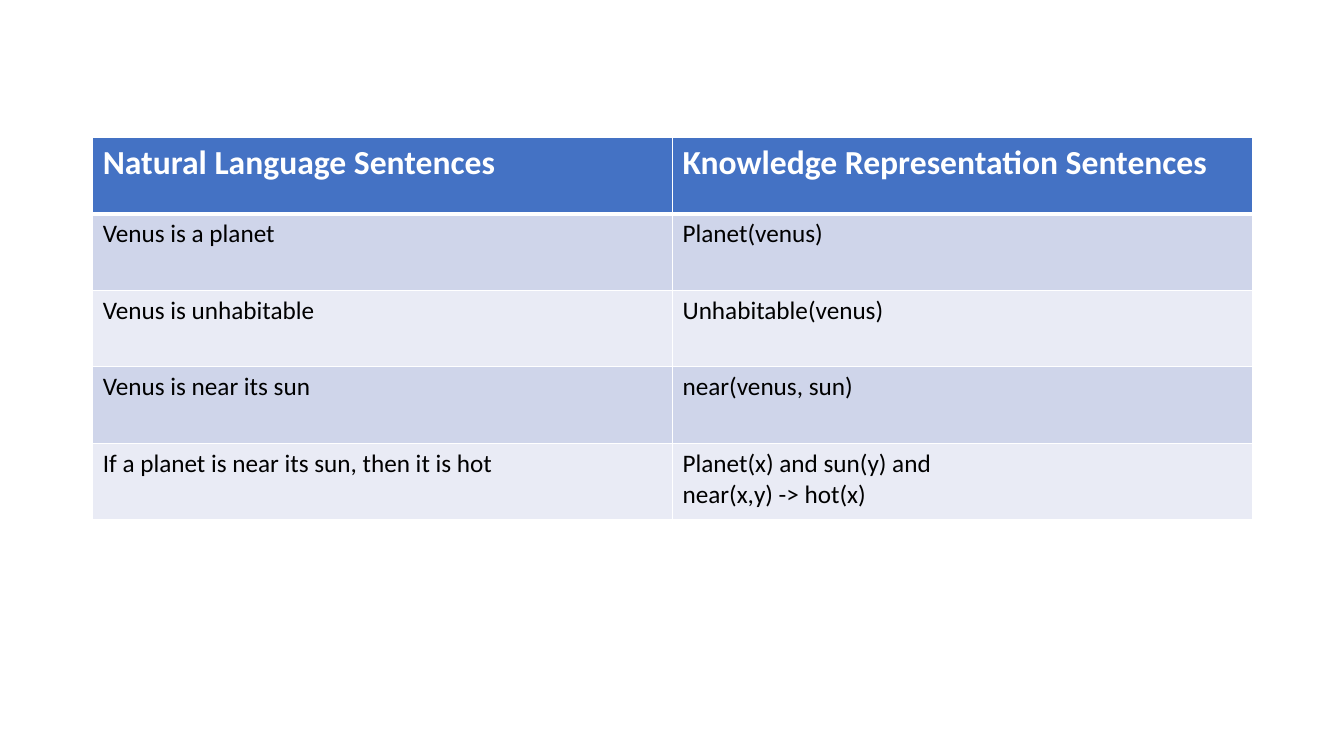
from lxml import etree
from pptx import Presentation
from pptx.dml.color import RGBColor
from pptx.oxml import ns
from pptx.util import Inches, Pt

ROWS = [
    ("Natural Language Sentences", "Knowledge Representation Sentences"),
    ("Venus is a planet", "Planet(venus)"),
    ("Venus is unhabitable", "Unhabitable(venus)"),
    ("Venus is near its sun", "near(venus, sun)"),
    ("If a planet is near its sun, then it is hot",
     "Planet(x) and sun(y) and\nnear(x,y) -> hot(x)"),
]
COLORS = {"header": "4472C4", "odd": "CFD5EA", "even": "E9EBF5",
          "rule": "FFFFFF", "header_text": "FFFFFF", "body_text": "000000"}
HEADER_FONT = {"name": "Calibri", "size": Pt(24), "bold": True}
BODY_FONT = {"name": "Calibri", "size": Pt(18), "bold": False}
LEFT, TOP, COLUMN_WIDTH, ROW_HEIGHT = 0.92, 1.36, 5.75, 0.76
THIN, THICK = Pt(1), Pt(3)


def add_borders(cell, widths):
    """Draw cell edges; widths maps the side letters L, R, T, B to lengths."""
    properties = cell._tc.get_or_add_tcPr()
    for side, width in widths.items():
        line = etree.SubElement(properties, ns.qn(f"a:ln{side}"), w=str(int(width)))
        fill = etree.SubElement(line, ns.qn("a:solidFill"))
        etree.SubElement(fill, ns.qn("a:srgbClr"), val=COLORS["rule"])


def format_cell(cell, content, row):
    header = row == 0
    add_borders(cell, {"L": THIN, "R": THIN,
                       "T": THICK if row == 1 else THIN,
                       "B": THICK if header else THIN})
    band = "header" if header else ("odd" if row % 2 else "even")
    cell.fill.solid()
    cell.fill.fore_color.rgb = RGBColor.from_string(COLORS[band])
    cell.text = content
    ink = COLORS["header_text" if header else "body_text"]
    for para in cell.text_frame.paragraphs:
        for span in para.runs:
            for name, value in (HEADER_FONT if header else BODY_FONT).items():
                setattr(span.font, name, value)
            span.font.color.rgb = RGBColor.from_string(ink)


def main():
    deck = Presentation()
    deck.slide_width, deck.slide_height = Inches(13.33), Inches(7.5)
    page = deck.slides.add_slide(deck.slide_layouts.get_by_name("Blank"))

    columns = len(ROWS[0])
    table = page.shapes.add_table(
        len(ROWS), columns, Inches(LEFT), Inches(TOP),
        Inches(COLUMN_WIDTH * columns), Inches(ROW_HEIGHT * len(ROWS))).table
    for row, contents in enumerate(ROWS):
        for column, content in enumerate(contents):
            format_cell(table.cell(row, column), content, row)

    deck.save("out.pptx")


if __name__ == "__main__":
    main()
